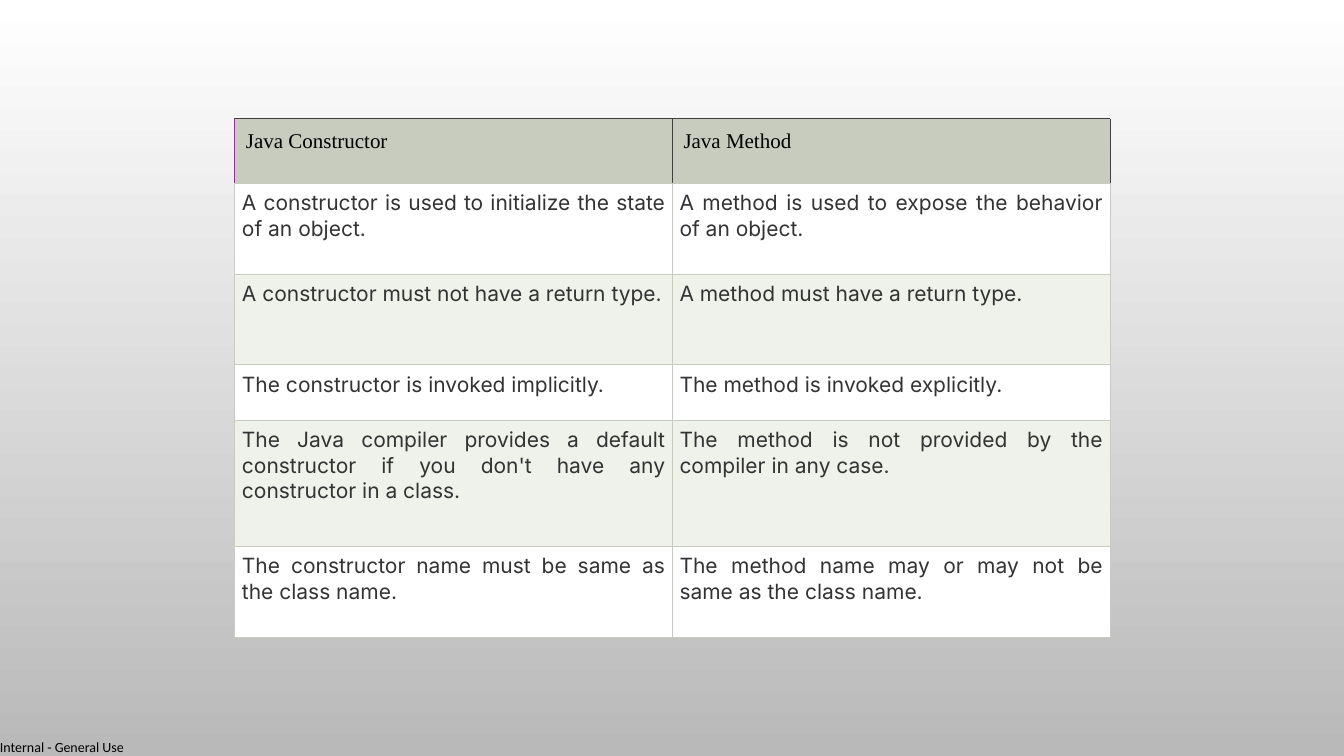
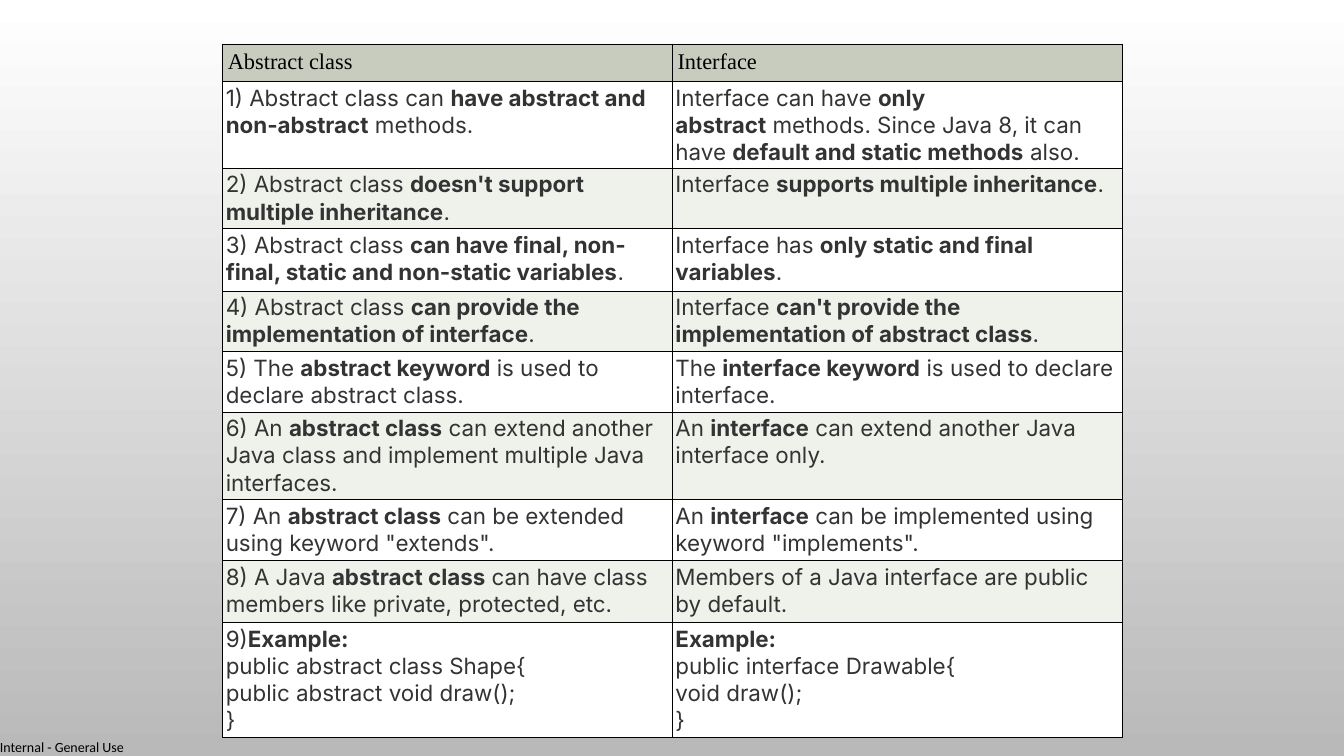
from lxml import etree
from pptx import Presentation
from pptx.dml.color import RGBColor
from pptx.enum import text
from pptx.oxml import ns
from pptx.util import Inches, Pt

COLOURS = {
    "page_top": "FFFFFF",
    "page_bottom": "B9B9B9",
    "header": "C7CCBE",
    "row": "FFFFFF",
    "band": "EFF1EB",
    "black": "000000",
    "body": "333333",
    "accent": "D003E0",
    "edge": "404040",
}
HEADER_FONT, BODY_FONT, FOOTER_FONT = "Times New Roman", "Inter", "Calibri"
NO_BREAK_SPACE = chr(160)

CONSTRUCTOR_ROWS = [
    ("Java Constructor", "Java Method"),
    ("A constructor is used to initialize the state of an object.",
     "A method is used to expose the behavior of an object."),
    ("A constructor must not have a return type.",
     "A method must have a return type."),
    ("The constructor is invoked implicitly.",
     "The method is invoked explicitly."),
    ("The Java compiler provides a default constructor if you don't have any "
     "constructor in a class.",
     "The method is not provided by the compiler in any case."),
    ("The constructor name must be same as the class name.",
     "The method name may or may not be same as the class name."),
]

# Double asterisks enclose bold words.
INTERFACE_ROWS = [
    ("Abstract class", "Interface"),
    ("1) Abstract class can **have abstract and non-abstract** methods.",
     "Interface can have **only abstract** methods. Since Java 8, it can have "
     "**default and static methods** also."),
    ("2) Abstract class **doesn't support multiple inheritance**.",
     "Interface **supports multiple inheritance**."),
    ("3) Abstract class **can have final, non-final, static and non-static variables**.",
     "Interface has **only static and final variables**."),
    ("4) Abstract class **can provide the implementation of interface**.",
     "Interface **can't provide the implementation of abstract class**."),
    ("5) The **abstract keyword** is used to declare abstract class.",
     "The **interface keyword** is used to declare interface."),
    ("6) An **abstract class** can extend another Java class and implement "
     "multiple Java interfaces.",
     "An **interface** can extend another Java interface only."),
    ("7) An **abstract class** can be extended using keyword \"extends\".",
     "An **interface** can be implemented using keyword \"implements\"."),
    ("8) A Java **abstract class** can have class members like private, protected, etc.",
     "Members of a Java interface are public by default."),
    ("9)**Example:**\npublic abstract class Shape{\npublic abstract void draw();\n}",
     "**Example:**\npublic interface Drawable{\nvoid draw();\n}"),
]


def colour(name):
    return RGBColor.from_string(COLOURS[name])


class Designer:
    def __init__(self):
        self.deck = Presentation()
        self.deck.slide_width, self.deck.slide_height = Inches(13.33), Inches(7.5)
        self.page = None
        fill = self.deck.slide_master.background.fill
        fill.gradient()
        fill.gradient_angle = 270
        for stop, name in zip(fill.gradient_stops, ("page_top", "page_bottom")):
            stop.color.rgb = colour(name)

    def new_page(self):
        self.page = self.deck.slides.add_slide(self.deck.slide_layouts[6])
        self.footer("Internal - General Use")

    def footer(self, words):
        box = self.page.shapes.add_textbox(Inches(0), Inches(7.33), Inches(1.27), Inches(0.17))
        frame = box.text_frame
        frame.margin_left = frame.margin_top = frame.margin_right = frame.margin_bottom = 0
        frame.word_wrap = False
        self.span(frame.paragraphs[0], words, FOOTER_FONT, 10, "black")

    def span(self, para, words, font, size, ink, bold=False):
        run = para.add_run()
        run.text = words
        run.font.name, run.font.size, run.font.bold = font, Pt(size), bold
        run.font.color.rgb = colour(ink)

    def marked_text(self, para, words, font, size, ink):
        """Write words with **bold** parts; spaces beside a bold part do not break."""
        for number, line in enumerate(words.split("\n")):
            if number:
                para.add_line_break()
            for index, part in enumerate(line.split("**")):
                if part.startswith(" "):
                    part = NO_BREAK_SPACE + part[1:]
                if part.endswith(" "):
                    part = part[:-1] + NO_BREAK_SPACE
                if part:
                    self.span(para, part, font, size, ink, index % 2 == 1)

    def borders(self, cell, width, names):
        """Draw the left, right, top and bottom borders in the named colours."""
        properties = cell._tc.get_or_add_tcPr()
        for side, name in zip("LRTB", names):
            line = etree.SubElement(properties, ns.qn(f"a:ln{side}"), w=str(Pt(width)))
            fill = etree.SubElement(line, ns.qn("a:solidFill"))
            etree.SubElement(fill, ns.qn("a:srgbClr"), val=COLOURS[name])

    def table(self, rows, left, top, column, heights, size, insets, border, width,
              header_borders=None, align=None):
        """Add a two-column table; insets holds the header and body cell margins."""
        frame = self.page.shapes.add_table(
            len(rows), 2, Inches(left), Inches(top), Inches(2 * column), Inches(sum(heights)))
        grid = frame.table
        grid.first_row = grid.horz_banding = False
        for grid_column in grid.columns:
            grid_column.width = Inches(column)
        for r, (texts, height) in enumerate(zip(rows, heights)):
            grid.rows[r].height = Inches(height)
            for c, words in enumerate(texts):
                cell = grid.cell(r, c)
                names = [border] * 4
                if r == 0 and header_borders:
                    names = header_borders[c]
                self.borders(cell, width, names)
                cell.fill.solid()
                cell.fill.fore_color.rgb = colour(
                    "header" if r == 0 else "row" if r % 2 else "band")
                inset = Inches(insets[min(r, 1)])
                cell.margin_left = cell.margin_right = inset
                cell.margin_top = cell.margin_bottom = inset
                para = cell.text_frame.paragraphs[0]
                if r == 0:
                    self.marked_text(para, words, HEADER_FONT, size, "black")
                else:
                    para.alignment = align
                    self.marked_text(para, words, BODY_FONT, size, "body")


def main():
    designer = Designer()
    designer.new_page()
    designer.table(
        CONSTRUCTOR_ROWS, 2.33, 1.18, 4.34, [0.64, 0.9, 0.9, 0.55, 1.25, 0.9],
        size=15, insets=(0.11, 0.07), border="header", width=0.75,
        header_borders=[("accent", "edge", "edge", "header"),
                        ("edge", "edge", "edge", "header")],
        align=text.PP_ALIGN.JUSTIFY)
    designer.new_page()
    designer.table(
        INTERFACE_ROWS, 2.21, 0.44, 4.46,
        [0.37, 0.86, 0.6, 0.62, 0.6, 0.6, 0.87, 0.6, 0.62, 1.14],
        size=16, insets=(0.05, 0.03), border="black", width=1)
    designer.deck.save("out.pptx")


if __name__ == "__main__":
    main()
